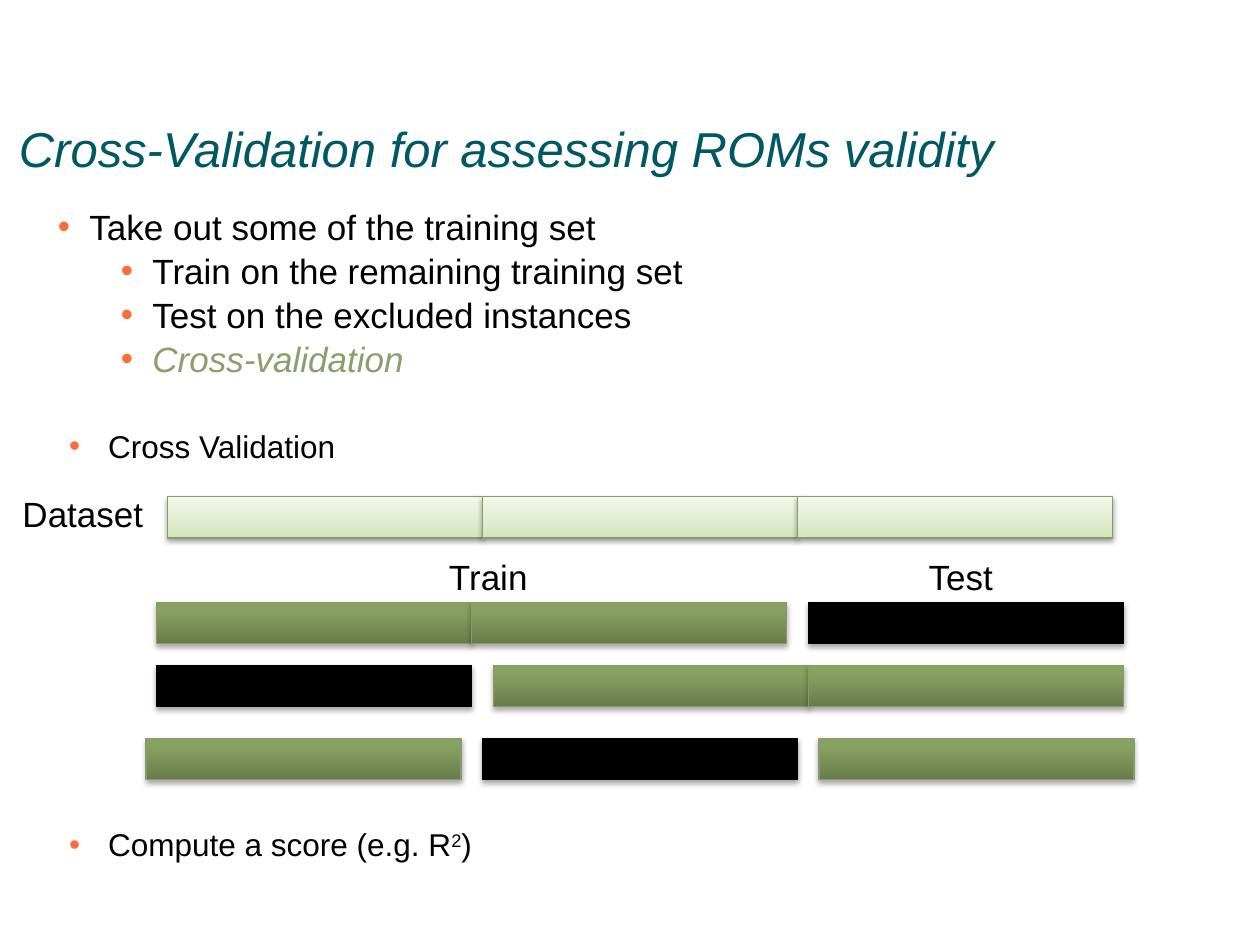
from lxml.etree import SubElement
from pptx import Presentation
from pptx.dml.color import RGBColor
from pptx.enum.shapes import MSO_SHAPE as Shape
from pptx.enum.text import MSO_ANCHOR as Anchor, MSO_AUTO_SIZE as AutoSize, PP_ALIGN as Align
from pptx.oxml.ns import qn
from pptx.util import Inches, Pt

BLACK = RGBColor(0x00, 0x00, 0x00)
TEAL = RGBColor(0x00, 0x58, 0x63)
ORANGE = RGBColor(0xFD, 0x6D, 0x38)
SAGE = RGBColor(0x8B, 0x9E, 0x6C)
OUTLINE = RGBColor(0x88, 0x9C, 0x68)
PALE_STOPS = [(0, RGBColor(0xD2, 0xE4, 0xB9)), (35, RGBColor(0xDF, 0xEB, 0xCE)),
              (100, RGBColor(0xF3, 0xF8, 0xEC))]
GREEN_STOPS = [(0, RGBColor(0x69, 0x7B, 0x4B)), (80, RGBColor(0x88, 0xA0, 0x61)),
               (100, RGBColor(0x89, 0xA2, 0x61))]

# Fold kind: gradient stops (None is solid black), line, shadow opacity, shadow distance
FOLDS = {
    "data": (PALE_STOPS, OUTLINE, 38, 1.6),
    "train": (GREEN_STOPS, OUTLINE, 35, 1.8),
    "test": (None, BLACK, 35, 1.8),
}
FOLD_WIDTH, FOLD_HEIGHT, SPLIT_GAP, CENTRE = 2.5, 0.33, 0.17, 5.08


def add_span(para, text, **formats):
    span = para.add_run()
    span.text = text
    span.font.color.rgb = formats.pop("color", BLACK)
    for name, value in {"name": "Arial", "size": Pt(20), **formats}.items():
        setattr(span.font, name, value)
    return span


def add_bullet(para, margin, hanging):
    props = para._p.get_or_add_pPr()
    props.set("marL", str(Inches(margin)))
    props.set("indent", str(-Inches(hanging)))
    color = SubElement(props, qn("a:buClr"))
    SubElement(color, qn("a:srgbClr"), val=str(ORANGE))
    SubElement(props, qn("a:buFont"), typeface="Arial")
    SubElement(props, qn("a:buChar"), char="•")


deck = Presentation()
deck.slide_width, deck.slide_height = Inches(10), Inches(7.5)
page = deck.slides.add_slide(deck.slide_layouts[1])
title, body = page.shapes.title, page.placeholders[1]

# Title and body frames
for holder, place, anchor in [(title, (0.15, 1.01, 9.76, 0.4), Anchor.MIDDLE),
                              (body, (0.46, 1.68, 9.21, 1.64), Anchor.TOP)]:
    holder.left, holder.top, holder.width, holder.height = map(Inches, place)
    frame_format = {"margin_left": 0, "margin_right": 0, "margin_top": 0, "margin_bottom": 0,
                    "word_wrap": True, "auto_size": AutoSize.NONE, "vertical_anchor": anchor}
    for name, value in frame_format.items():
        setattr(holder.text_frame, name, value)

para = title.text_frame.paragraphs[0]
para.alignment, para.line_spacing = Align.LEFT, 0.85
add_span(para, "Cross-Validation for assessing ROMs validity",
         size=Pt(28), color=TEAL, italic=True)

# Bulleted list
steps = [
    ("Take out some of the training set", 0, {}),
    ("Train on the remaining training set", 1, {}),
    ("Test on the excluded instances", 1, {}),
    ("Cross-validation", 1, {"color": SAGE, "italic": True}),
]
for index, (text, level, formats) in enumerate(steps):
    para = body.text_frame.add_paragraph() if index else body.text_frame.paragraphs[0]
    add_bullet(para, 0.25 + 0.5 * level, 0.25)
    para.level, para.line_spacing = level, 0.85
    para.space_before = Pt(4.8 if index else 0)
    add_span(para, text, **formats)

# Rows of folds, centred, with a gap wherever train meets test
rows = [
    (3.94, ["data", "data", "data"], False),
    (4.78, ["train", "train", "test"], False),
    (5.28, ["test", "train", "train"], True),
    (5.86, ["train", "test", "train"], True),
]
for top, kinds, grouped in rows:
    shapes = page.shapes.add_group_shape().shapes if grouped else page.shapes
    gaps = [SPLIT_GAP if a != b else 0 for a, b in zip(kinds, kinds[1:])] + [0]
    left = CENTRE - (len(kinds) * FOLD_WIDTH + sum(gaps)) / 2
    for kind, gap in zip(kinds, gaps):
        stops, line_color, opacity, distance = FOLDS[kind]
        fold = shapes.add_shape(Shape.RECTANGLE, Inches(left), Inches(top),
                                Inches(FOLD_WIDTH), Inches(FOLD_HEIGHT))
        left += FOLD_WIDTH + gap
        props = fold._element.spPr
        if stops:
            fold.fill.gradient()
            fold.fill.gradient_angle = 90
            stop_list = props.find(qn("a:gradFill")).find(qn("a:gsLst"))
            for old in list(stop_list):
                stop_list.remove(old)
            for position, color in stops:
                stop = SubElement(stop_list, qn("a:gs"), pos=str(position * 1000))
                SubElement(stop, qn("a:srgbClr"), val=str(color))
        else:
            fold.fill.solid()
            fold.fill.fore_color.rgb = BLACK
        fold.line.color.rgb, fold.line.width = line_color, Pt(0.75)
        fold.shadow.inherit = False
        shadow = SubElement(props.find(qn("a:effectLst")), qn("a:outerShdw"),
                            blurRad=str(Pt(3.1)), dist=str(Pt(distance)),
                            dir="5400000", rotWithShape="0")
        color = SubElement(shadow, qn("a:srgbClr"), val=str(BLACK))
        SubElement(color, qn("a:alpha"), val=str(opacity * 1000))

# Labels
for text, left, top, width, align in [("Train", 2.5, 4.36, 2.75, Align.CENTER),
                                      ("Test", 6.25, 4.36, 2.75, Align.CENTER),
                                      ("Dataset", 0.08, 3.86, 1.25, Align.LEFT)]:
    box = page.shapes.add_textbox(Inches(left), Inches(top), Inches(width), Inches(0.44))
    box.text_frame.word_wrap = True
    para = box.text_frame.paragraphs[0]
    para.alignment = align
    add_span(para, text)

# Notes above and below the folds
box = page.shapes.add_textbox(Inches(0.45), Inches(3.34), Inches(9.21), Inches(1.64))
box.text_frame.word_wrap = True
heading, score = box.text_frame.paragraphs[0], box.text_frame.add_paragraph()
for para, text in [(heading, "Cross Validation"), (score, "Compute a score (e.g. R")]:
    add_bullet(para, 0.31, 0.31)
    add_span(para, text, size=Pt(18))
score.space_before = Pt(206)
power = add_span(score, "2", size=Pt(18))
power.font._element.set("baseline", "30000")
add_span(score, ")", size=Pt(18))

deck.save("out.pptx")
